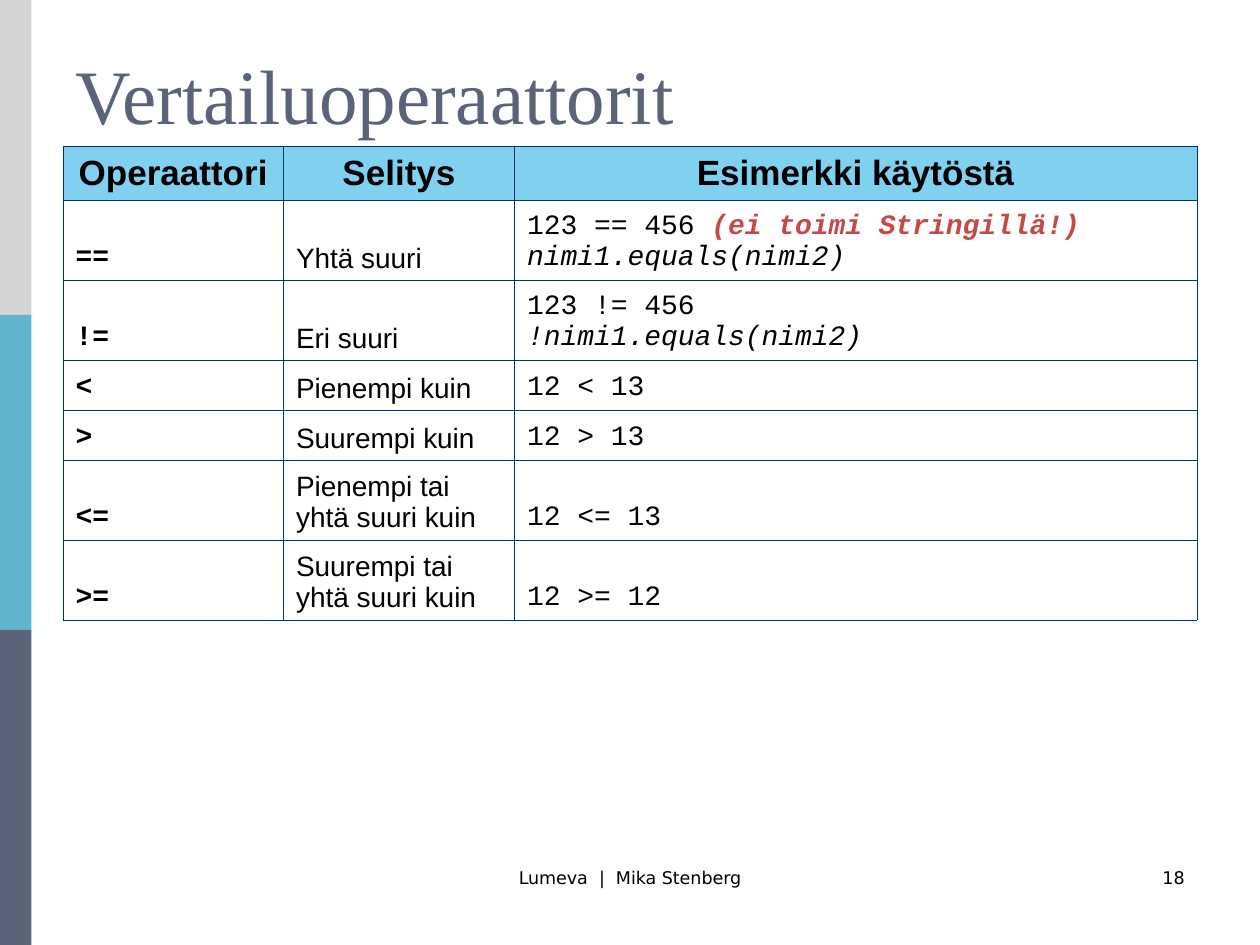
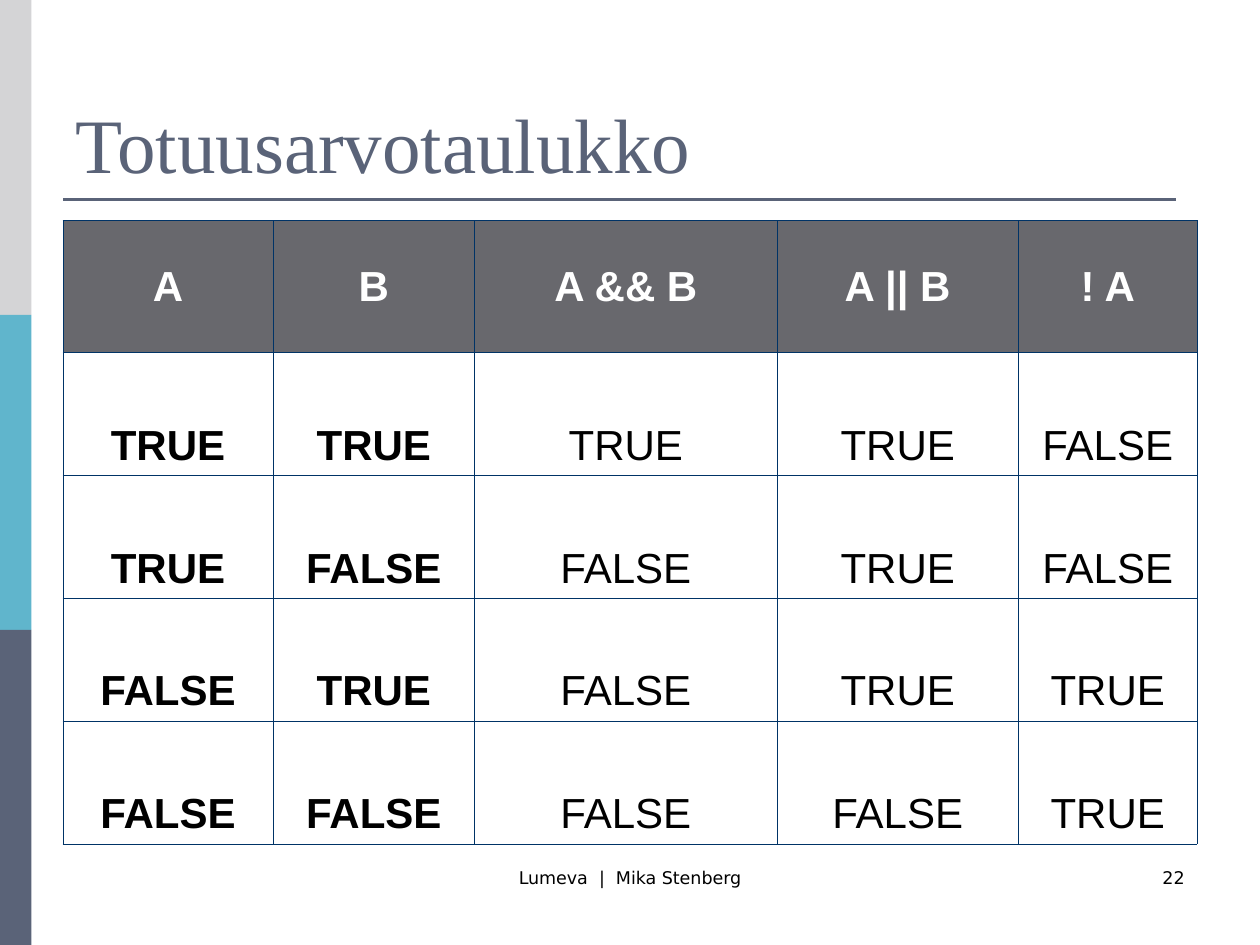
import lxml.etree
import pptx
import pptx.dml.color
import pptx.enum.shapes
import pptx.enum.text
import pptx.oxml.ns
import pptx.util

RGBColor = pptx.dml.color.RGBColor
Align = pptx.enum.text.PP_ALIGN
Anchor = pptx.enum.text.MSO_ANCHOR

SILVER = RGBColor(0xD4, 0xD4, 0xD6)
TEAL = RGBColor(0x60, 0xB5, 0xCC)
SLATE = RGBColor(0x5A, 0x63, 0x78)
SKY = RGBColor(0x80, 0xD0, 0xF0)
GRAPHITE = RGBColor(0x68, 0x68, 0x6D)
NAVY = RGBColor(0x00, 0x33, 0x66)
RED = RGBColor(0xC6, 0x48, 0x47)
BLACK = RGBColor(0, 0, 0)
WHITE = RGBColor(0xFF, 0xFF, 0xFF)

SANS = "Arial"
MONO = "Courier New"
SERIF = "Times New Roman"
FOOTER_FONT = "DejaVu Sans"

COLUMNS, ROWS = 120, 90
MARGIN, CONTENT_WIDTH = 6, 108
TITLE_TOP = 3.6
FOOTER_TEXT = "Lumeva  |  Mika Stenberg"


class Deck:
    def __init__(self):
        self.presentation = pptx.Presentation()
        self.presentation.slide_width = pptx.util.Inches(10)
        self.presentation.slide_height = pptx.util.Inches(7.5)
        self.slide = None

    def x(self, columns):
        return round(self.presentation.slide_width * columns / COLUMNS)

    def y(self, rows):
        return round(self.presentation.slide_height * rows / ROWS)

    def box(self, left, top, width, height):
        return self.x(left), self.y(top), self.x(width), self.y(height)

    def style(self, font, name, size, color, bold=False, italic=False):
        font.name = name
        font.size = pptx.util.Pt(size)
        font.color.rgb = color
        font.bold = bold
        font.italic = italic

    def new_slide(self, title, title_height, number):
        self.slide = self.presentation.slides.add_slide(self.presentation.slide_layouts[5])
        for index, color in enumerate((SILVER, TEAL, SLATE)):
            self.band(index, color)
        self.rule(19, MARGIN, 112)
        self.footer(FOOTER_TEXT, 41, 38, Align.CENTER)
        self.footer(str(number), 86, 28, Align.RIGHT)
        self.title(title, title_height)

    def band(self, index, color):
        height = ROWS / 3
        shape = self.slide.shapes.add_shape(
            pptx.enum.shapes.MSO_SHAPE.RECTANGLE, *self.box(0, index * height, 3, height))
        shape.shadow.inherit = False
        shape.fill.solid()
        shape.fill.fore_color.rgb = color
        shape.line.fill.background()

    def rule(self, top, start, end):
        connector = self.slide.shapes.add_connector(
            pptx.enum.shapes.MSO_CONNECTOR.STRAIGHT,
            self.x(start), self.y(top), self.x(end), self.y(top))
        connector.line.color.rgb = SLATE
        connector.line.width = pptx.util.Pt(1.5)
        properties = connector.element.find(pptx.oxml.ns.qn("p:spPr"))
        lxml.etree.SubElement(properties, pptx.oxml.ns.qn("a:effectLst"))

    def footer(self, text, left, width, alignment):
        shape = self.slide.shapes.add_textbox(*self.box(left, 82, width, 6))
        shape.text_frame.word_wrap = True
        paragraph = shape.text_frame.paragraphs[0]
        paragraph.text = text
        paragraph.alignment = alignment
        self.style(paragraph.font, FOOTER_FONT, 10, BLACK)

    def title(self, text, height):
        shape = self.slide.shapes.title
        shape.left, shape.top, shape.width, shape.height = self.box(
            MARGIN, TITLE_TOP, CONTENT_WIDTH, height)
        frame = shape.text_frame
        frame.auto_size = pptx.enum.text.MSO_AUTO_SIZE.NONE
        frame.vertical_anchor = Anchor.BOTTOM
        paragraph = frame.paragraphs[0]
        paragraph.text = text
        paragraph.alignment = Align.LEFT
        self.style(paragraph.font, SERIF, 44, SLATE)

    def table(self, top, widths, heights):
        frame = self.slide.shapes.add_table(
            len(heights), len(widths), *self.box(MARGIN, top, CONTENT_WIDTH, sum(heights)))
        table = frame.table
        table.first_row = False
        table.horz_banding = False
        for column, width in zip(table.columns, widths):
            column.width = self.x(width)
        for row, height in zip(table.rows, heights):
            row.height = self.y(height)
        return table

    def borders(self, cell):
        properties = cell._tc.get_or_add_tcPr()
        for side in ("a:lnL", "a:lnR", "a:lnT", "a:lnB"):
            line = lxml.etree.SubElement(
                properties, pptx.oxml.ns.qn(side), w=str(pptx.util.Pt(0.45)))
            fill = lxml.etree.SubElement(line, pptx.oxml.ns.qn("a:solidFill"))
            lxml.etree.SubElement(fill, pptx.oxml.ns.qn("a:srgbClr"), val=str(NAVY))

    def cell(self, cell, text, name, size, color=BLACK, bold=False,
             alignment=Align.LEFT, anchor=Anchor.BOTTOM, fill=None):
        self.borders(cell)
        if fill is None:
            cell.fill.background()
        else:
            cell.fill.solid()
            cell.fill.fore_color.rgb = fill
        cell.vertical_anchor = anchor
        cell.text_frame.text = text
        for paragraph in cell.text_frame.paragraphs:
            paragraph.alignment = alignment
            self.style(paragraph.font, name, size, color, bold)

    def header(self, table, labels, size, color, fill):
        for column, label in enumerate(labels):
            self.cell(table.cell(0, column), label, SANS, size, color, True,
                      Align.CENTER, Anchor.MIDDLE, fill)


def comparison_operators(deck):
    deck.new_slide("Vertailuoperaattorit", 10.32, 18)
    tall, short = 7.6, 4.76
    table = deck.table(13.92, (21, 22, 65), (5.15, tall, tall, short, short, tall, tall))
    deck.header(table, ("Operaattori", "Selitys", "Esimerkki käytöstä"), 20, BLACK, SKY)
    operators = (
        ("==", "Yhtä suuri", "123 == 456 \nnimi1.equals(nimi2)"),
        ("!=", "Eri suuri", "123 != 456\n!nimi1.equals(nimi2)"),
        ("<", "Pienempi kuin", "12 < 13"),
        (">", "Suurempi kuin", "12 > 13"),
        ("<=", "Pienempi tai yhtä suuri kuin", "12 <= 13"),
        (">=", "Suurempi tai yhtä suuri kuin", "12 >= 12"),
    )
    for row, (operator, meaning, example) in enumerate(operators, 1):
        deck.cell(table.cell(row, 0), operator, MONO, 16, bold=True)
        deck.cell(table.cell(row, 1), meaning, SANS, 16)
        deck.cell(table.cell(row, 2), example, MONO, 16)
        for string_example in table.cell(row, 2).text_frame.paragraphs[1:]:
            string_example.font.italic = True
    warning = table.cell(1, 2).text_frame.paragraphs[0].add_run()
    warning.text = "(ei toimi Stringillä!)"
    deck.style(warning.font, MONO, 16, RED, bold=True, italic=True)


def truth_table(deck):
    deck.new_slide("Totuusarvotaulukko", 15, 22)
    table = deck.table(21, (20, 19.2, 28.8, 23, 17), (12.56,) + (11.71,) * 4)
    deck.header(table, ("A", "B", "A && B", "A || B", "! A"), 24, WHITE, GRAPHITE)
    inputs = [(a, b) for a in (True, False) for b in (True, False)]
    for row, (a, b) in enumerate(inputs, 1):
        for column, value in enumerate((a, b, a and b, a or b, not a)):
            deck.cell(table.cell(row, column), str(value).upper(), SANS, 24,
                      bold=column < 2, alignment=Align.CENTER)


def main():
    deck = Deck()
    comparison_operators(deck)
    truth_table(deck)
    deck.presentation.save("out.pptx")


if __name__ == "__main__":
    main()
